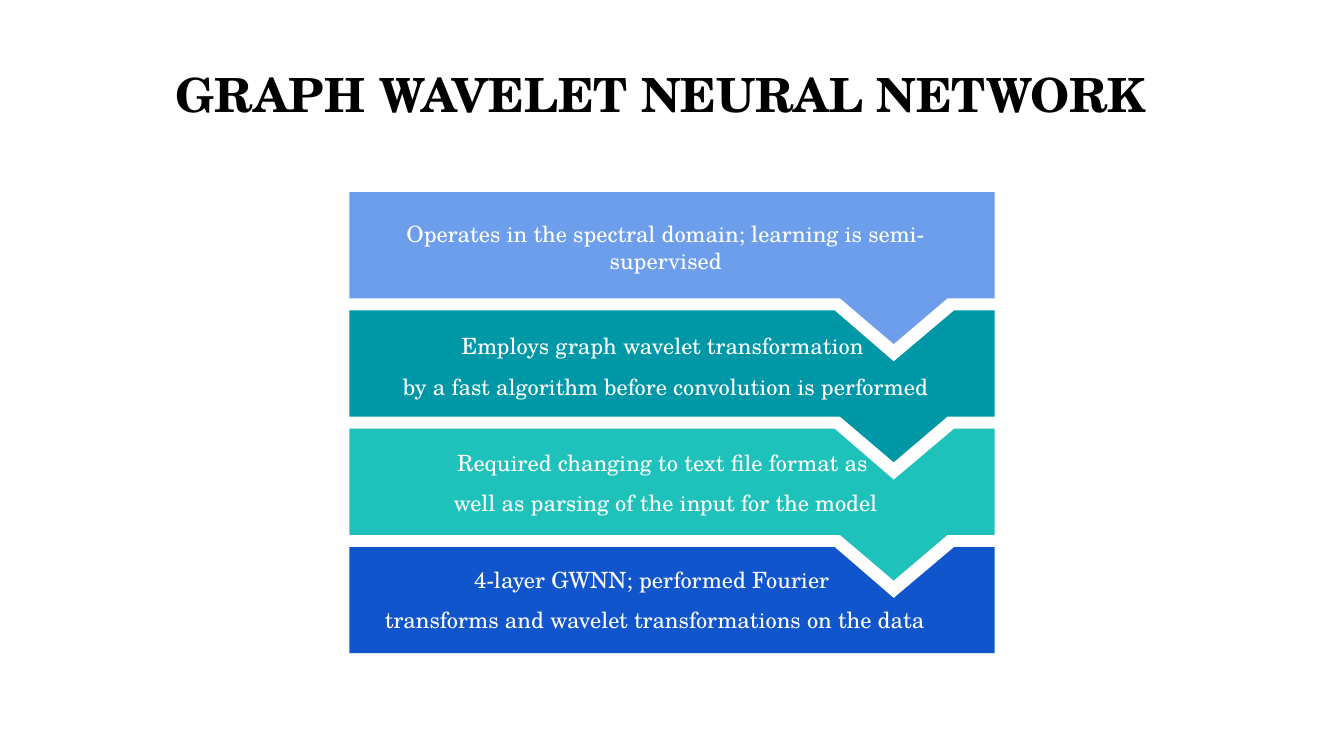
from dataclasses import dataclass

from pptx import Presentation
from pptx.dml.color import RGBColor
from pptx.enum.text import MSO_ANCHOR, PP_ALIGN
from pptx.util import Inches, Pt

CENTER = PP_ALIGN.CENTER
TOP = MSO_ANCHOR.TOP


@dataclass(frozen=True)
class Theme:
    font: str = "TeX Gyre Schola"
    ink: str = "000000"
    light: str = "FFFFFF"
    bands: tuple = ("6D9EEB", "0097A7", "1FC2BA", "1155CC")
    title_size: float = 25.2
    body_size: float = 12
    space_before: float = 7.4


THEME = Theme()

STEPS = [
    ["Operates in the spectral domain; learning is semi-supervised"],
    ["Employs graph wavelet transformation ",
     "by a fast algorithm before convolution is performed"],
    ["Required changing to text file format as ",
     "well as parsing of the input for the model"],
    ["4-layer GWNN; performed Fourier ",
     "transforms and wavelet transformations on the data"],
]
TEXT_OFFSETS = [(0.11, 0.11), (0.11, 0.06), (0.11, 0.05), (0.03, 0.04)]
PITCH = 0.88
BAND_HEIGHT = 0.79


def add_text(page, left, top, width, height, lines, size, color,
             bold=False, right_inset=0.1):
    box = page.shapes.add_textbox(
        Inches(left), Inches(top), Inches(width), Inches(height))
    frame = box.text_frame
    frame.word_wrap = True
    frame.vertical_anchor = TOP
    frame.margin_left = frame.margin_top = frame.margin_bottom = Inches(0.1)
    frame.margin_right = Inches(right_inset)
    for index, line in enumerate(lines):
        para = frame.add_paragraph() if index else frame.paragraphs[0]
        para.alignment = CENTER
        if index:
            para.space_before = Pt(THEME.space_before)
        span = para.add_run()
        span.text = line
        span.font.name = THEME.font
        span.font.size = Pt(size)
        span.font.bold = bold
        span.font.color.rgb = RGBColor.from_string(color)


def add_band(page, left, top, width, color, notched, pointed):
    right = left + width
    bottom = top + BAND_HEIGHT
    tip = left + 4.05
    points = [(left, top)]
    if notched:
        points += [(tip - 0.44, top), (tip, top + 0.38), (tip + 0.45, top)]
    points += [(right, top), (right, bottom)]
    if pointed:
        points += [(tip + 0.4, bottom), (tip, bottom + 0.34),
                   (tip - 0.4, bottom)]
    points.append((left, bottom))
    corners = [(Inches(x), Inches(y)) for x, y in points]
    builder = page.shapes.build_freeform(*corners[0])
    builder.add_line_segments(corners[1:], close=True)
    band = builder.convert_to_shape()
    band.shadow.inherit = False
    band.fill.solid()
    band.fill.fore_color.rgb = RGBColor.from_string(color)
    band.line.fill.background()


def add_steps(page, left, top, width):
    last = len(STEPS) - 1
    for index, color in enumerate(THEME.bands):
        add_band(page, left, top + index * PITCH, width, color,
                 notched=index > 0, pointed=index < last)
    for index, (lines, (dx, dy)) in enumerate(zip(STEPS, TEXT_OFFSETS)):
        height = 0.61 if len(lines) == 1 else 0.71
        add_text(page, left + dx, top + index * PITCH + dy, 4.57, height,
                 lines, THEME.body_size, THEME.light, right_inset=0.18)


def main():
    deck = Presentation()
    deck.slide_width = Inches(10)
    deck.slide_height = Inches(10) * 9 // 16
    page = deck.slides.add_slide(deck.slide_layouts[6])
    add_text(page, 0.34, 0.39, 9.16, 0.63, ["GRAPH WAVELET NEURAL NETWORK"],
             THEME.title_size, THEME.ink, bold=True)
    add_steps(page, 2.6, 1.43, 4.8)
    deck.save("out.pptx")


if __name__ == "__main__":
    main()
